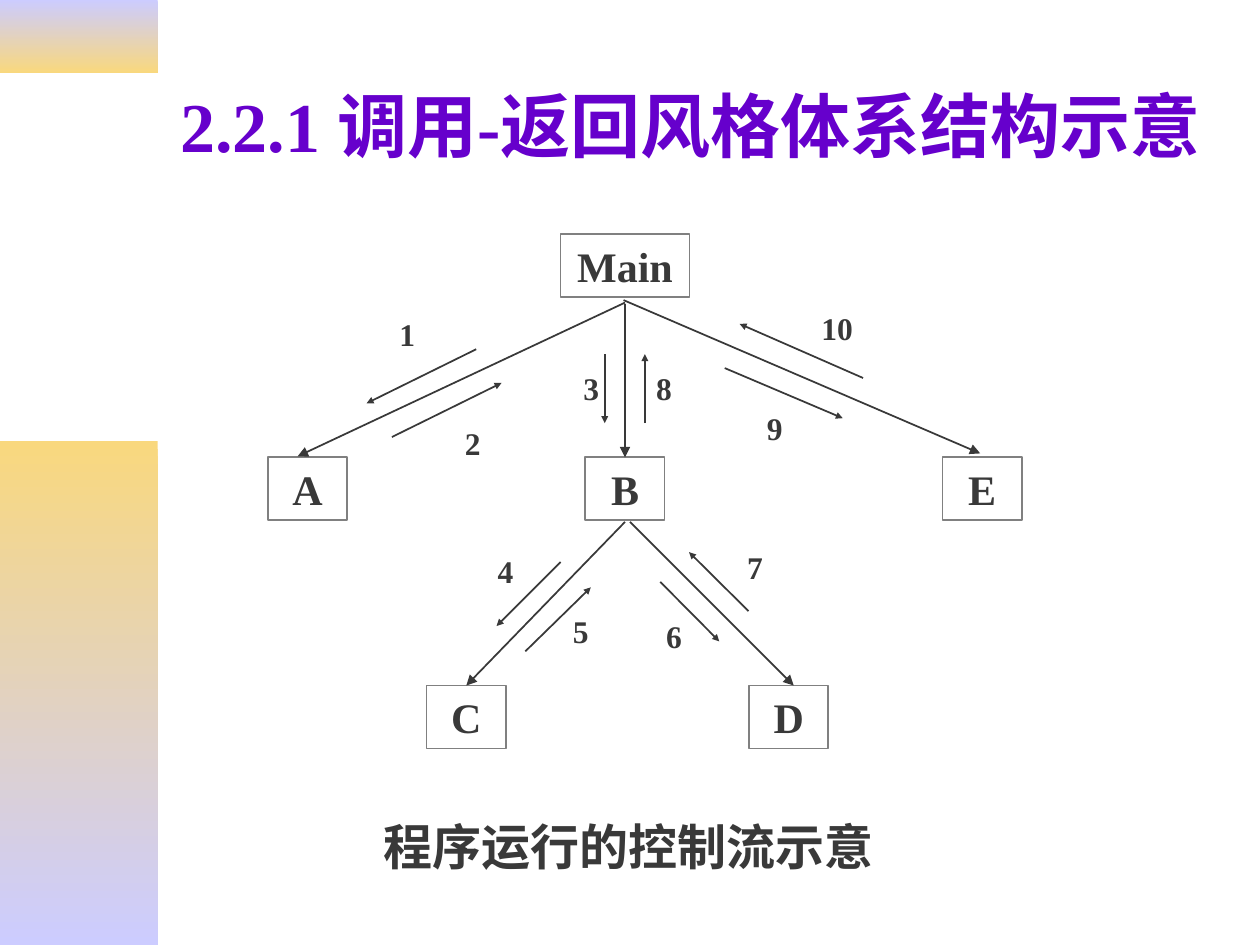
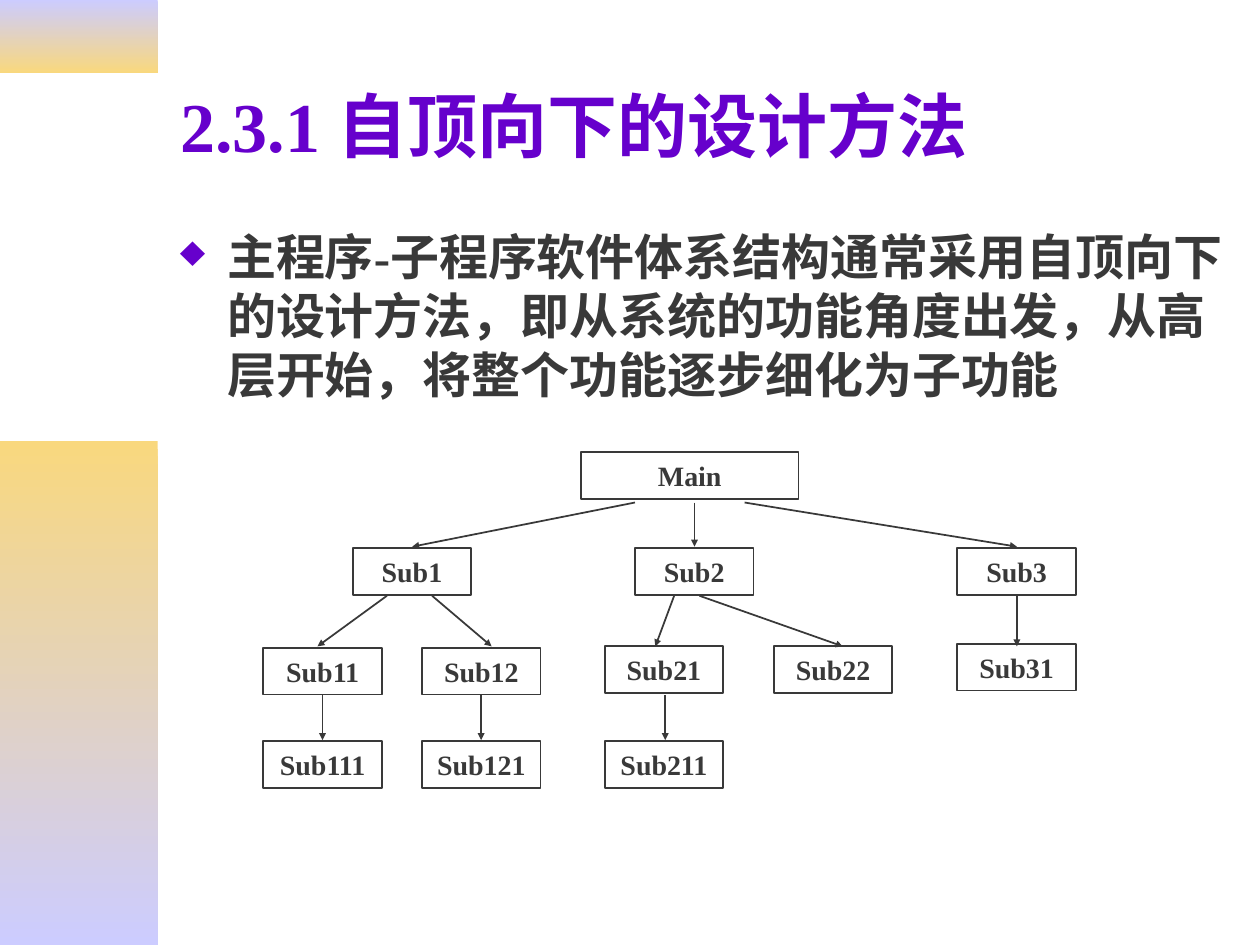
import pptx
import pptx.util
import pptx.dml.color
import pptx.enum.shapes
import pptx.enum.text
import pptx.oxml
import pptx.oxml.ns
import lxml.etree

Cm = pptx.util.Cm
RGB = pptx.dml.color.RGBColor.from_string
RECT = pptx.enum.shapes.MSO_SHAPE.RECTANGLE
LEFT = pptx.enum.text.PP_ALIGN.LEFT
CENTER = pptx.enum.text.PP_ALIGN.CENTER
TOP = pptx.enum.text.MSO_ANCHOR.TOP
MIDDLE = pptx.enum.text.MSO_ANCHOR.MIDDLE

COLORS = {"title": "6600CC", "ink": "393939", "frame": "808080",
          "lilac": "CCCCFF", "gold": "F9D87E"}
FONT = "Times New Roman"


def set_text(sp, text, size, color="ink", align=LEFT, anchor=TOP, wrap=True):
    tf = sp.text_frame
    tf.auto_size = pptx.enum.text.MSO_AUTO_SIZE.NONE
    tf.word_wrap = wrap
    tf.vertical_anchor = anchor
    p = tf.paragraphs[0]
    p.alignment = align
    r = p.add_run()
    r.text = text
    r.font.name = FONT
    r.font.size = pptx.util.Pt(size)
    r.font.bold = True
    r.font.color.rgb = RGB(COLORS[color])
    return p


def add_arrow(s, x1, y1, x2, y2, head="sm"):
    line = s.shapes.add_connector(pptx.enum.shapes.MSO_CONNECTOR.STRAIGHT,
                                  Cm(x1), Cm(y1), Cm(x2), Cm(y2))
    line.line.width = pptx.util.Pt(1)
    line.line.color.rgb = RGB(COLORS["ink"])
    ln = line.line._get_or_add_ln()
    lxml.etree.SubElement(ln, pptx.oxml.ns.qn("a:tailEnd"),
                          type="triangle", w=head, len=head)
    lxml.etree.SubElement(line.element.spPr, pptx.oxml.ns.qn("a:effectLst"))


prs = pptx.Presentation()
prs.slide_width, prs.slide_height = Cm(25.4), Cm(19.05)

# Shared bands and titles
bands = [(0, 1.47, "lilac", "gold"), (8.89, 10.16, "gold", "lilac")]
slides = []
for title in ["2.2.1 调用-返回风格体系结构示意", "2.3.1 自顶向下的设计方法"]:
    s = prs.slides.add_slide(prs.slide_layouts[5])
    slides.append(s)
    for top, height, first, last in bands:
        band = s.shapes.add_shape(RECT, 0, Cm(top), Cm(3.18), Cm(height))
        band.shadow.inherit = False
        band.line.fill.background()
        band.fill.gradient()
        band.fill.gradient_angle = 270
        for stop, color in zip(band.fill.gradient_stops, (first, last)):
            stop.color.rgb = RGB(COLORS[color])
    sp = s.shapes.title
    sp.left, sp.top, sp.width, sp.height = Cm(3.38), Cm(0.84), Cm(21.59), Cm(3.35)
    set_text(sp, title, 40, color="title", anchor=MIDDLE)
flow, design = slides

# Boxes of both call trees: (text, left, top, width)
flow_boxes = [("Main", 11.3, 4.72, 2.6),
              ("A", 5.4, 9.22, 1.6), ("B", 11.8, 9.22, 1.6), ("E", 19, 9.22, 1.6),
              ("C", 8.6, 13.82, 1.6), ("D", 15.1, 13.82, 1.6)]
sub_rows = [(11.05, {"Sub1": 7.11, "Sub2": 12.8, "Sub3": 19.3}),
            (13.06, {"Sub11": 5.31, "Sub12": 8.51}),
            (13.03, {"Sub21": 12.19, "Sub22": 15.6}),
            (12.98, {"Sub31": 19.3}),
            (14.94, {"Sub111": 5.31, "Sub121": 8.51, "Sub211": 12.19})]
design_boxes = [("Main", 11.71, 9.12, 4.39)]
for top, row in sub_rows:
    design_boxes += [(text, left, top, 2.39) for text, left in row.items()]

for s, boxes, height, size, frame in [(flow, flow_boxes, 1.27, 24, "frame"),
                                      (design, design_boxes, 0.94, 16, "ink")]:
    for text, left, top, width in boxes:
        sp = s.shapes.add_shape(RECT, Cm(left), Cm(top), Cm(width), Cm(height))
        sp.shadow.inherit = False
        sp.fill.background()
        sp.line.color.rgb = RGB(COLORS[frame])
        sp.line.width = pptx.util.Pt(1)
        set_text(sp, text, size, align=CENTER, anchor=MIDDLE)

# Control flow: tree edges
for edge in [(12.6, 6.1, 6, 9.2), (12.6, 6.12, 12.6, 9.22),
             (12.57, 6.05, 19.76, 9.14), (12.6, 10.52, 9.4, 13.82),
             (12.7, 10.52, 16, 13.82)]:
    add_arrow(flow, *edge, head="med")

# Control flow: numbered calls and returns, each with its label position
steps = [((9.6, 7.04, 7.39, 8.13), (7.8, 6.22)),
         ((7.9, 8.81, 10.11, 7.72), (9.12, 8.43)),
         ((12.19, 7.14, 12.19, 8.53), (11.51, 7.32)),
         ((11.3, 11.33, 10.01, 12.62), (9.78, 11)),
         ((10.59, 13.13, 11.91, 11.84), (11.3, 12.22)),
         ((13.31, 11.73, 14.5, 12.93), (13.18, 12.32)),
         ((15.09, 12.32, 13.89, 11.13), (14.81, 10.92)),
         ((13, 8.53, 13, 7.14), (12.98, 7.32)),
         ((14.61, 7.42, 16.99, 8.43), (15.21, 8.13)),
         ((17.4, 7.62, 14.91, 6.53), (16.31, 6.1))]
for number, (arrow, (left, top)) in enumerate(steps, 1):
    add_arrow(flow, *arrow)
    width = 0.81 if number < 10 else 1.14
    sp = flow.shapes.add_textbox(Cm(left), Cm(top), Cm(width), Cm(1.02))
    set_text(sp, str(number), 18, wrap=False)

# Control flow: caption
sp = flow.shapes.add_textbox(Cm(7.49), Cm(16.33), Cm(12.29), Cm(1.45))
set_text(sp, "程序运行的控制流示意", 28)

# Top-down design: bulleted statement
sp = design.shapes.add_textbox(Cm(3.38), Cm(4.45), Cm(21.59), Cm(4.19))
p = set_text(sp, "主程序-子程序软件体系结构通常采用自顶向下的设计方法，"
                 "即从系统的功能角度出发，从高层开始，将整个功能逐步细化为子功能", 28)
pPr = p._p.get_or_add_pPr()
pPr.set("marL", str(Cm(0.95)))
pPr.set("indent", str(-Cm(0.95)))
ns = pptx.oxml.ns.nsdecls("a")
for xml in [f'<a:buClr {ns}><a:srgbClr val="{COLORS["title"]}"/></a:buClr>',
            f'<a:buSzPct {ns} val="90000"/>',
            f'<a:buChar {ns} char="♦"/>']:
    pPr.append(pptx.oxml.parse_xml(xml))

# Top-down design: edges by level, as (top, bottom, [(x from, x to)])
levels = [(10.13, 11.02, [(12.8, 8.31), (14, 14), (15.01, 20.5)]),
          (12.01, 13.03, [(7.8, 6.4), (8.71, 9.91), (13.59, 13.21),
                          (14.1, 16.99), (20.5, 20.5)]),
          (14.02, 14.92, [(6.5, 6.5), (9.7, 9.7), (13.41, 13.41)])]
for top, bottom, edges in levels:
    for x1, x2 in edges:
        add_arrow(design, x1, top, x2, bottom)

prs.save("out.pptx")
